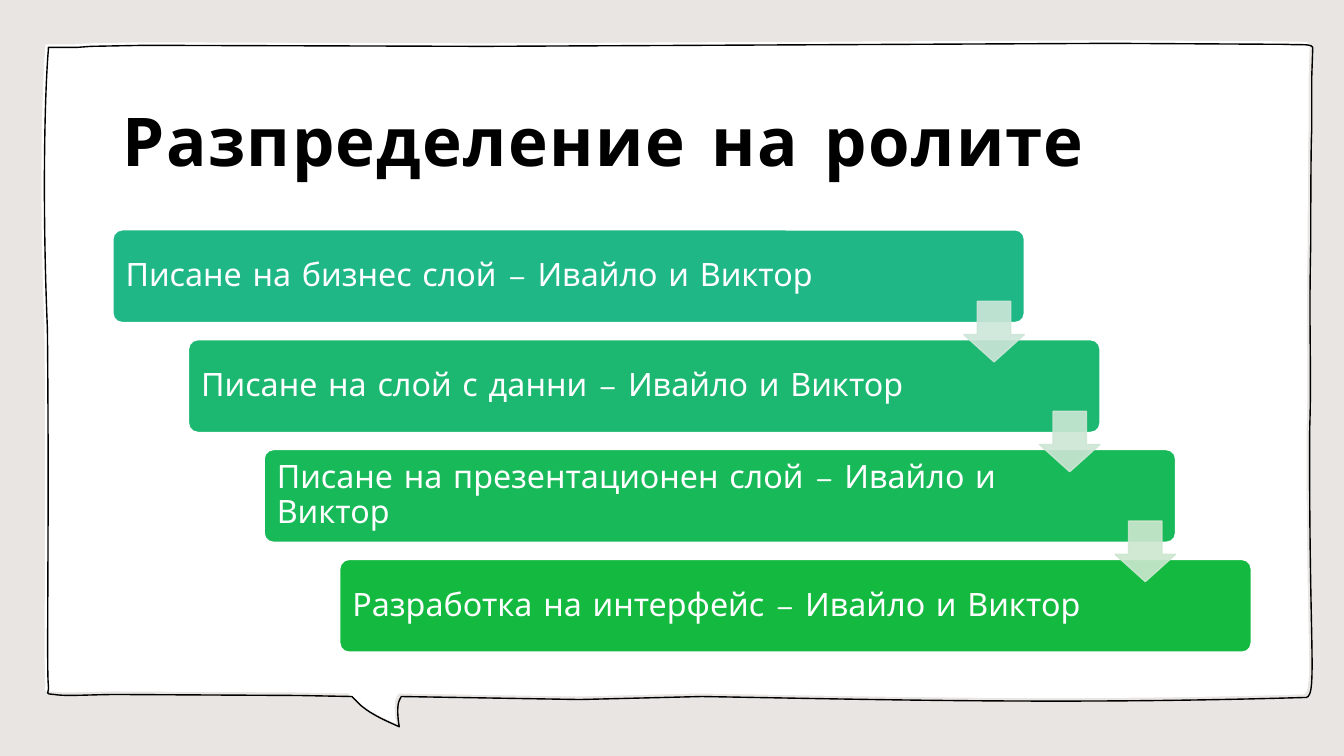
from dataclasses import dataclass

from lxml.etree import SubElement
from pptx import Presentation
from pptx.dml.color import RGBColor
from pptx.enum.shapes import MSO_SHAPE
from pptx.enum.text import MSO_ANCHOR, PP_ALIGN
from pptx.oxml.ns import qn
from pptx.util import Inches, Pt

TITLE = "Разпределение на ролите"
ROLES = [
    ("Писане на бизнес слой – Ивайло и Виктор", "20B787", "CDE6D9"),
    ("Писане на слой с данни – Ивайло и Виктор", "1CB871", "CCE6D4"),
    ("Писане на презентационен слой – Ивайло и Виктор", "18B959", "CCE7CF"),
    ("Разработка на интерфейс – Ивайло и Виктор", "14BA40", None),
]
BUBBLE_START = (11.03, 0.43)
BUBBLE = [
    (12.76, 0.44),
    (12.89, 0.45, 13, 0.43, 13.02, 0.47),
    (13.01, 0.77),
    (13.01, 0.94, 13.01, 1.13, 13.01, 1.3),
    (13, 1.42, 13, 2.35, 13, 2.42),
    (12.98, 3.3, 13.01, 3.65, 12.99, 4.25),
    (12.98, 6.56, 13.08, 6.95, 12.93, 6.92),
    (10.56, 6.99, 8.72, 6.94, 6.96, 6.91),
    (5.75, 6.94),
    (3.98, 6.91),
    (3.96, 6.95),
    (3.94, 6.99, 3.94, 7.1, 3.96, 7.21),
    (3.85, 7.16, 3.7, 7.1, 3.58, 7),
    (3.49, 6.91),
    (2.96, 6.9),
    (1.17, 6.89),
    (0.9, 6.89, 0.66, 6.91, 0.54, 6.89),
    (0.43, 6.88, 0.49, 6.89, 0.48, 6.8),
    (0.46, 6.65, 0.49, 5.22, 0.47, 3.26),
    (0.42, 2.07, 0.44, 0.96, 0.48, 0.49),
    (0.48, 0.48, 0.48, 0.48, 0.48, 0.47),
    (0.54, 0.47),
    (0.77, 0.47),
    (0.9, 0.46),
    (1.43, 0.45),
    (4.8, 0.46),
]


@dataclass(frozen=True)
class Theme:
    font: str = "Comic Neue"
    background: str = "E8E5E2"
    paper: str = "FFFFFF"
    ink: str = "000000"
    title_size: int = 48
    role_size: int = 23


THEME = Theme()
LEFT, TOP = 1.12, 2.28
STEP_X, STEP_Y = 0.75, 1.09
ROLE_WIDTH, ROLE_HEIGHT = 9.04, 0.92
ARROW_SIZE, ARROW_DROP = 0.6, 0.71
FILL_OFFSET = -0.03


def color(value):
    return RGBColor.from_string(value)


def paint(shape, fill=None, line=None):
    shape.shadow.inherit = False
    if fill:
        shape.fill.solid()
        shape.fill.fore_color.rgb = color(fill)
    else:
        shape.fill.background()
    if line:
        shape.line.color.rgb = color(line)
        shape.line.width = Pt(1)
    else:
        shape.line.fill.background()


def make_translucent(shape, percent):
    for tone in shape._element.spPr.iter(qn("a:srgbClr")):
        SubElement(tone, qn("a:alpha")).set("val", str(percent * 1000))


def bend(shape, segments, offset):
    edges = list(shape._element.spPr.iter(qn("a:lnTo")))
    for edge, segment in zip(edges, segments):
        if len(segment) == 2:
            continue
        curve = SubElement(edge.getparent(), qn("a:cubicBezTo"))
        for x, y in zip(segment[::2], segment[1::2]):
            point = SubElement(curve, qn("a:pt"))
            point.set("x", str(Inches(x + offset) - shape.left))
            point.set("y", str(Inches(y + offset) - shape.top))
        edge.getparent().replace(edge, curve)


def add_bubble(page, offset, fill=None, line=None):
    ends = [BUBBLE_START] + [segment[-2:] for segment in BUBBLE]
    points = [(Inches(x + offset), Inches(y + offset)) for x, y in ends]
    builder = page.shapes.build_freeform(*points[0])
    builder.add_line_segments(points[1:], close=True)
    bubble = builder.convert_to_shape()
    bend(bubble, BUBBLE, offset)
    paint(bubble, fill, line)


def write(box, text, size, tone, bold=False):
    box.text_frame.word_wrap = True
    box.text_frame.vertical_anchor = MSO_ANCHOR.MIDDLE
    para = box.text_frame.paragraphs[0]
    para.alignment = PP_ALIGN.LEFT
    span = para.add_run()
    span.text = text
    span.font.name = THEME.font
    span.font.size = Pt(size)
    span.font.bold = bold
    span.font.color.rgb = color(tone)
    return para, span


def add_title(page):
    box = page.shapes.add_textbox(Inches(LEFT), Inches(0.61), Inches(11.3), Inches(1.55))
    para, span = write(box, TITLE, THEME.title_size, THEME.ink, bold=True)
    span.font._element.set("spc", "100")


def add_role(page, index, text, fill):
    box = page.shapes.add_shape(
        MSO_SHAPE.ROUNDED_RECTANGLE,
        Inches(LEFT + index * STEP_X), Inches(TOP + index * STEP_Y),
        Inches(ROLE_WIDTH), Inches(ROLE_HEIGHT),
    )
    box.adjustments[0] = 0.1
    paint(box, fill, THEME.paper)
    frame = box.text_frame
    frame.margin_left = frame.margin_top = frame.margin_bottom = Inches(0.1)
    frame.margin_right = Inches(1.45)
    para, span = write(box, text, THEME.role_size, THEME.paper)
    para.line_spacing = 0.9


def add_arrow(page, index, tone):
    arrow = page.shapes.add_shape(
        MSO_SHAPE.DOWN_ARROW,
        Inches(LEFT + index * STEP_X + ROLE_WIDTH - ARROW_SIZE),
        Inches(TOP + index * STEP_Y + ARROW_DROP),
        Inches(ARROW_SIZE), Inches(ARROW_SIZE),
    )
    arrow.adjustments[0] = 0.55
    arrow.adjustments[1] = 0.45
    paint(arrow, tone, tone)
    make_translucent(arrow, 90)


def main():
    deck = Presentation()
    deck.slide_width, deck.slide_height = Inches(13.33), Inches(7.5)
    page = deck.slides.add_slide(deck.slide_layouts[6])
    page.background.fill.solid()
    page.background.fill.fore_color.rgb = color(THEME.background)
    add_bubble(page, FILL_OFFSET, fill=THEME.paper)
    add_bubble(page, 0, line=THEME.ink)
    add_title(page)
    for index, (text, fill, arrow_tone) in enumerate(ROLES):
        add_role(page, index, text, fill)
    for index, (text, fill, arrow_tone) in enumerate(ROLES):
        if arrow_tone:
            add_arrow(page, index, arrow_tone)
    deck.save("out.pptx")


if __name__ == "__main__":
    main()
